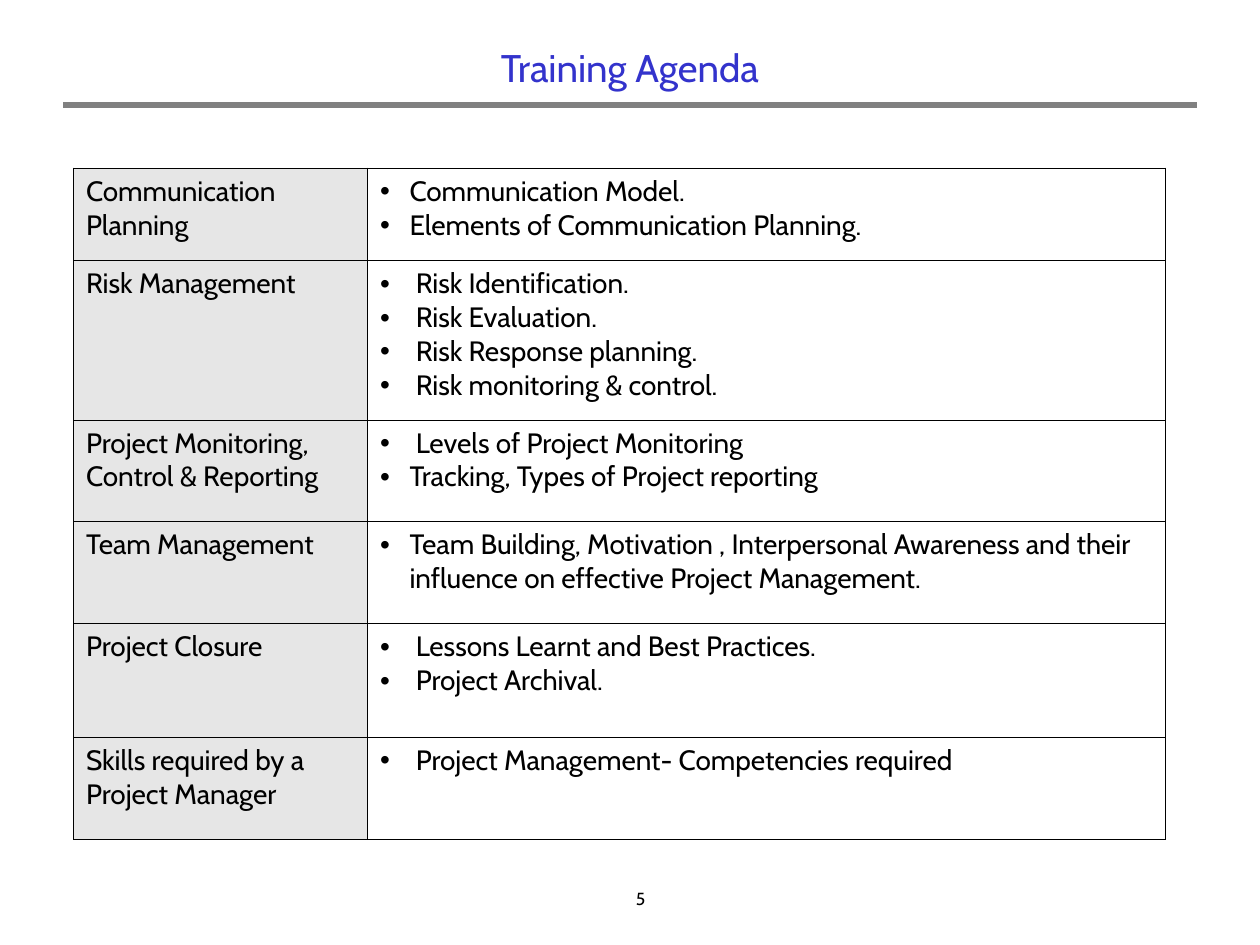
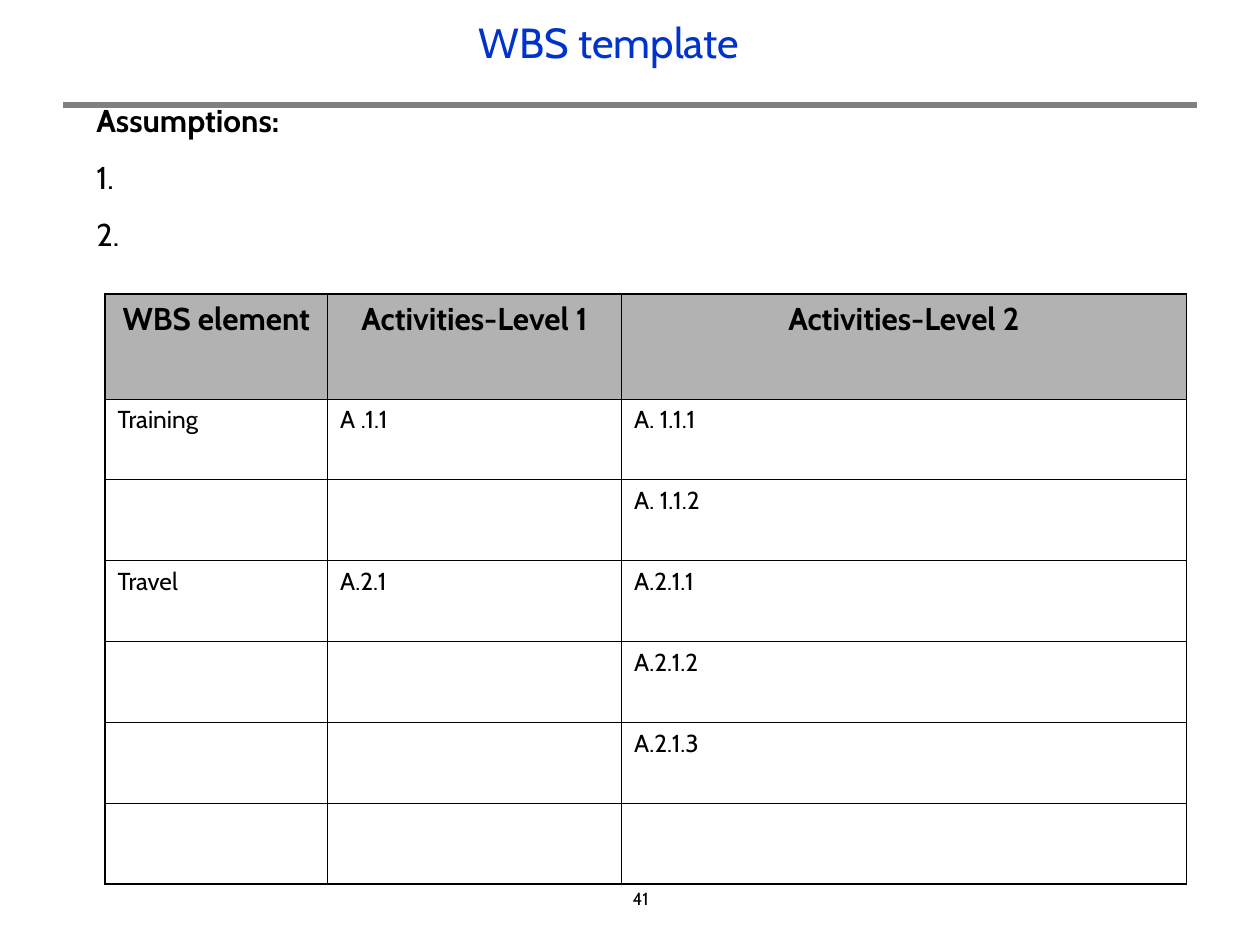
from lxml.etree import SubElement
from pptx import Presentation
from pptx.dml.color import RGBColor
from pptx.enum.shapes import MSO_CONNECTOR
from pptx.enum.text import MSO_ANCHOR, PP_ALIGN
from pptx.oxml import parse_xml
from pptx.oxml.ns import nsdecls, qn
from pptx.util import Inches, Pt

# Shared look: the grid has 120 columns and 90 rows
UNIT = Inches(1) / 12
COLS, ROWS = 120, 90
FONT = "Cabin"
HUES = {"ink": "000000", "rule": "808080", "blue": "3333CC", "deep": "0033CC",
        "pale": "E6E6E6", "head": "B2B2B2"}
THIN, THICK = 0.45, 1.08


def write(frame, lines, size, hue="ink", bold=(), align=PP_ALIGN.LEFT, gap=0, hangs=()):
    """Fill a text frame; bold lists line numbers, hangs gives bullet indents."""
    frame.word_wrap = True
    for i, line in enumerate(lines):
        para = frame.paragraphs[0] if i == 0 else frame.add_paragraph()
        para.text = line
        para.alignment = align
        if i:
            para.space_before = Pt(gap)
        if hangs:
            props = para._p.get_or_add_pPr()
            hang = round(hangs[i] * UNIT)
            props.set("marL", str(hang))
            props.set("indent", str(-hang))
            SubElement(props, qn("a:buFont"), typeface="Arial")
            SubElement(props, qn("a:buChar"), char="•")
        font = para.font
        font.name, font.size, font.bold = FONT, Pt(size), i in bold
        font.color.rgb = RGBColor.from_string(HUES[hue])


def grid(slide, left, top, wides, highs, rim):
    """Add a plain ruled table whose outer edges are rim points wide."""
    size = [round(n * UNIT) for n in (left, top, sum(wides), sum(highs))]
    table = slide.shapes.add_table(len(highs), len(wides), *size).table
    table.first_row = table.horz_banding = False
    for col, wide in zip(table.columns, wides):
        col.width = round(wide * UNIT)
    for r, high in enumerate(highs):
        table.rows[r].height = round(high * UNIT)
        for c in range(len(wides)):
            cell = table.cell(r, c)
            outer = {"L": c == 0, "R": c == len(wides) - 1,
                     "T": r == 0, "B": r == len(highs) - 1}
            for side, edge in outer.items():
                width = Pt(rim if edge else THIN)
                cell._tc.get_or_add_tcPr().append(parse_xml(
                    f'<a:ln{side} {nsdecls("a")} w="{width}"><a:solidFill>'
                    f'<a:srgbClr val="{HUES["ink"]}"/></a:solidFill></a:ln{side}>'))
            cell.fill.background()
    return table


deck = Presentation()
deck.slide_width, deck.slide_height = round(COLS * UNIT), round(ROWS * UNIT)

# Title, rule and page number on each slide
heads = [("Training Agenda", 22, "blue", (6, 2.9, 108, 7), "5"),
         ("WBS template", 24, "deep", (11, 0, 94, 8), "41")]
slides = []
for title, size, hue, spot, page in heads:
    slide = deck.slides.add_slide(deck.slide_layouts[6])
    slides.append(slide)
    rule = slide.shapes.add_connector(
        MSO_CONNECTOR.STRAIGHT, *[round(n * UNIT) for n in (6, 10, 114, 10)])
    rule.line.color.rgb = RGBColor.from_string(HUES["rule"])
    rule.line.width = Pt(3)
    SubElement(rule._element.spPr, qn("a:effectLst"))
    for text, pt, tint, place in ((page, 10, "ink", (54, 84, 14, 4)),
                                  (title, size, hue, spot)):
        box = slide.shapes.add_textbox(*[round(n * UNIT) for n in place])
        write(box.text_frame, [text], pt, tint, align=PP_ALIGN.CENTER)
    box.text_frame.vertical_anchor = MSO_ANCHOR.MIDDLE
agenda, plan = slides

# Agenda: topic, row height, then bullets with their indents
NEAR, FAR = 2.8, 3.4
topics = [
    ("Communication Planning", 8.8, [
        (NEAR, "Communication Model."),
        (NEAR, "Elements of Communication Planning.")]),
    ("Risk Management", 15.2, [
        (FAR, "Risk Identification."),
        (FAR, "Risk Evaluation."),
        (FAR, "Risk Response planning."),
        (FAR, "Risk monitoring & control.")]),
    ("Project Monitoring, Control & Reporting", 9.7, [
        (FAR, "Levels of Project Monitoring"),
        (NEAR, "Tracking, Types of Project reporting")]),
    ("Team Management", 9.7, [
        (NEAR, "Team Building, Motivation , Interpersonal Awareness and their "
               "influence on effective Project Management.")]),
    ("Project Closure", 10.8, [
        (FAR, "Lessons Learnt and Best Practices."),
        (FAR, "Project Archival.")]),
    ("Skills required by a Project Manager", 9.7, [
        (FAR, "Project Management- Competencies required")]),
]
table = grid(agenda, 7, 16, (28, 76), [high for _, high, _ in topics], THIN)
for r, (topic, _, points) in enumerate(topics):
    name, body = table.cell(r, 0), table.cell(r, 1)
    name.fill.solid()
    name.fill.fore_color.rgb = RGBColor.from_string(HUES["pale"])
    write(name.text_frame, [topic], 16)
    hangs, lines = zip(*points)
    write(body.text_frame, lines, 16, hangs=hangs)

# WBS table
cells = [
    ("WBS element", "Activities-Level 1", "Activities-Level 2"),
    ("Training", "A .1.1", "A. 1.1.1"),
    ("", "", "A. 1.1.2"),
    ("Travel", "A.2.1", "A.2.1.1"),
    ("", "", "A.2.1.2"),
    ("", "", "A.2.1.3"),
    ("", "", ""),
]
table = grid(plan, 10, 28, (21.2, 28, 53.8), [10] + [7.7] * 6, THICK)
for r, row in enumerate(cells):
    for c, text in enumerate(row):
        cell = table.cell(r, c)
        if r == 0:
            cell.fill.solid()
            cell.fill.fore_color.rgb = RGBColor.from_string(HUES["head"])
            write(cell.text_frame, [text], 18, bold=[0], align=PP_ALIGN.CENTER)
        elif text:
            write(cell.text_frame, [text], 14)

# Assumptions
box = plan.shapes.add_textbox(*[round(n * UNIT) for n in (8, 9, 109, 15.9)])
write(box.text_frame, ["Assumptions:", "1.", "2."], 18, bold=[0], gap=11.2)

deck.save("out.pptx")
